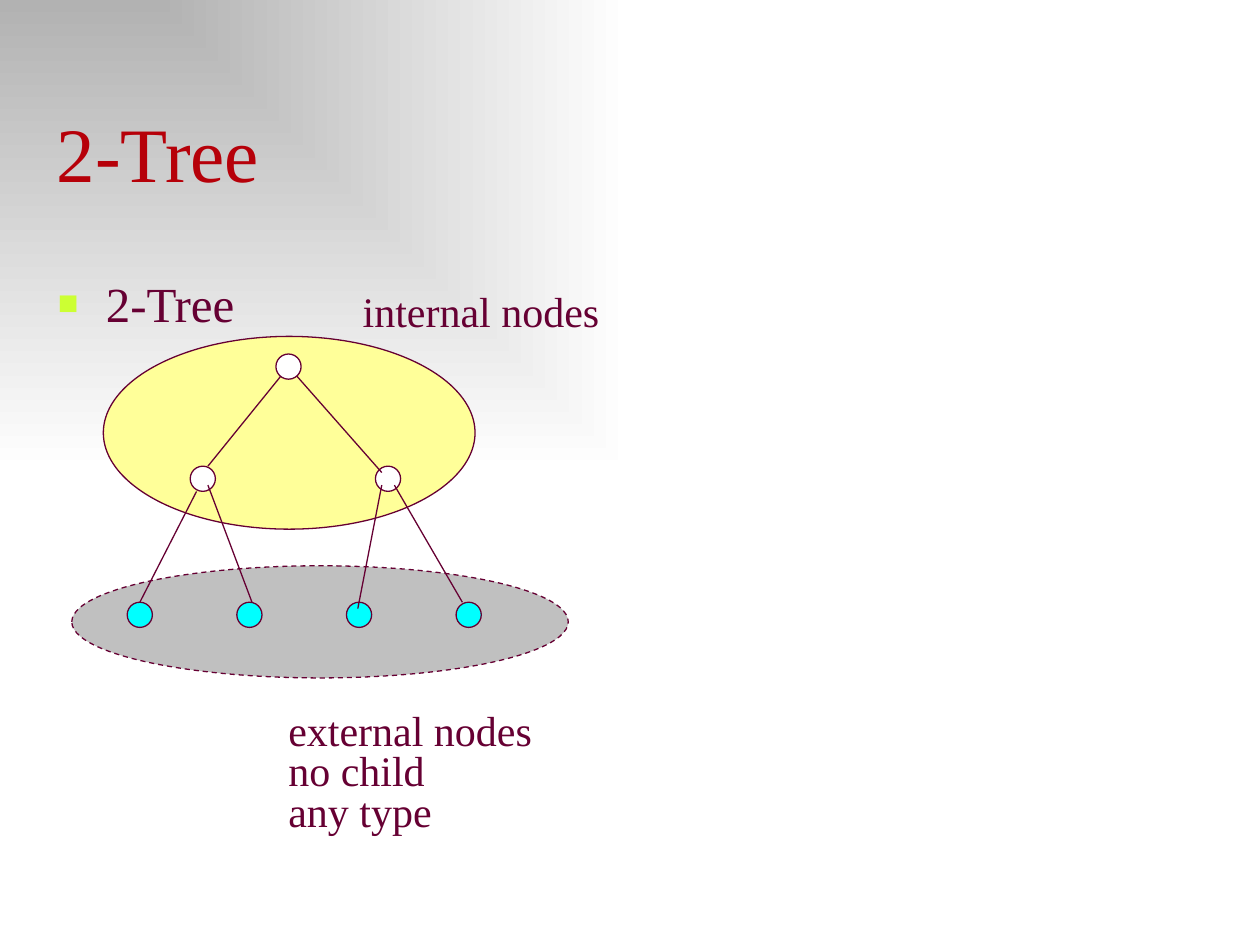
from pptx import Presentation, util as u
from pptx.dml.color import RGBColor
from pptx.enum import dml, shapes, text
from pptx.oxml import parse_xml
from pptx.oxml.ns import nsdecls, qn

THEME = {
    "font": "Times New Roman",
    "ink": "660033", "head": "B60009", "mark": "CCFF33",
    "inner": "FFFF99", "outer": "C0C0C0", "node": "FFFFFF", "leaf": "00FFFF",
    "shade": "B2B2B2", "page": "FFFFFF",
    "title": 44, "body": 28, "label": 24, "line": 0.75,
}
TITLE = ("2-Tree", (0.35, 0.79, 9.45, 0.83))
BODY = ("2-Tree", (0.36, 2.12, 4.4, 4.5))
LABELS = [
    (["internal nodes"], (2.78, 2.22, 2.26, 0.5), 1.0),
    (["external nodes", "no child", "any type"], (2.19, 5.62, 2.76, 1.06), 0.8),
]
ZONES = [
    ((0.82, 2.67, 2.95, 1.53), "inner", None),
    ((0.57, 4.49, 3.94, 0.89), "outer", dml.MSO_LINE.DASH),
]
SIZE = 0.2
ROOT = (2.19, 2.81)
INNER = [(1.51, 3.7), (2.98, 3.7)]
LEAVES = [(1.01 + 0.87 * i, 4.78) for i in range(4)]
EDGES = [
    ((2.29, 2.91), (1.65, 3.7)), ((2.29, 2.91), (3.03, 3.75)),
    ((1.56, 3.9), (1.11, 4.78)), ((1.65, 3.85), (2, 4.78)),
    ((3.03, 3.85), (2.84, 4.83)), ((3.13, 3.85), (3.67, 4.78)),
]


def color(name):
    return RGBColor.from_string(THEME[name])


def inches(vals):
    return [u.Inches(v) for v in vals]


def place(shape, box):
    shape.left, shape.top, shape.width, shape.height = inches(box)


def write(frame, lines, size="label", ink="ink", before=0, space=None,
          anchor=text.MSO_ANCHOR.TOP):
    frame.word_wrap = True
    frame.vertical_anchor = anchor
    frame.text = "\n".join(lines)
    for i, para in enumerate(frame.paragraphs):
        para.alignment = text.PP_ALIGN.LEFT
        para.space_before = u.Pt(0 if i else before)
        if space:
            para.line_spacing = space
        font = para.runs[0].font
        font.name, font.size = THEME["font"], u.Pt(THEME[size])
        font.color.rgb = color(ink)


def stroke(line, dash=None):
    line.color.rgb = color("ink")
    line.width = u.Pt(THEME["line"])
    if dash:
        line.dash_style = dash


def oval(box, fill, dash=None):
    shape = slide.shapes.add_shape(shapes.MSO_SHAPE.OVAL, *inches(box))
    shape.shadow.inherit = False
    shape.fill.solid()
    shape.fill.fore_color.rgb = color(fill)
    stroke(shape.line, dash)


def node(spot, fill):
    oval((*spot, SIZE, SIZE), fill)


def edge(start, end):
    line = slide.shapes.add_connector(
        shapes.MSO_CONNECTOR.STRAIGHT, *inches(start + end))
    stroke(line.line)
    line.element.spPr.append(parse_xml(f"<a:effectLst {nsdecls('a')}/>"))


def bullet(para):
    props = para._p.get_or_add_pPr()
    props.set("marL", str(u.Inches(0.38)))
    props.set("indent", str(-u.Inches(0.38)))
    for part in (f'<a:buClr {nsdecls("a")}><a:srgbClr val="{THEME["mark"]}"/></a:buClr>',
                 f'<a:buSzPct {nsdecls("a")} val="70000"/>',
                 f'<a:buFont {nsdecls("a")} typeface="{THEME["font"]}"/>',
                 f'<a:buChar {nsdecls("a")} char="■"/>'):
        props.append(parse_xml(part))


def backdrop():
    fill = slide.background.fill
    fill.gradient()
    for stop, name in zip(fill.gradient_stops, ("shade", "page")):
        stop.color.rgb = color(name)
    grad = slide.element.find(".//" + qn("a:gradFill"))
    old = grad.find(qn("a:lin"))
    grad.replace(old, parse_xml(
        f'<a:path {nsdecls("a")} path="rect">'
        '<a:fillToRect r="100000" b="100000"/></a:path>'))


deck = Presentation()
deck.slide_width, deck.slide_height = inches((10, 7.5))
slide = deck.slides.add_slide(deck.slide_layouts[1])
backdrop()

for box, fill, dash in ZONES:
    oval(box, fill, dash)

title, body = slide.shapes.title, slide.placeholders[1]
for shape, (words, box) in ((title, TITLE), (body, BODY)):
    place(shape, box)
    shape.element.getparent().append(shape.element)
write(title.text_frame, [TITLE[0]], size="title", ink="head",
      anchor=text.MSO_ANCHOR.BOTTOM)
write(body.text_frame, [BODY[0]], size="body", before=5.6)
bullet(body.text_frame.paragraphs[0])

for spots, fill in ((INNER, "node"), (LEAVES, "leaf")):
    for spot in spots:
        node(spot, fill)
for start, end in EDGES:
    edge(start, end)
node(ROOT, "node")

for lines, box, space in LABELS:
    label = slide.shapes.add_textbox(*inches(box))
    write(label.text_frame, lines, before=12, space=space)

deck.save("out.pptx")
